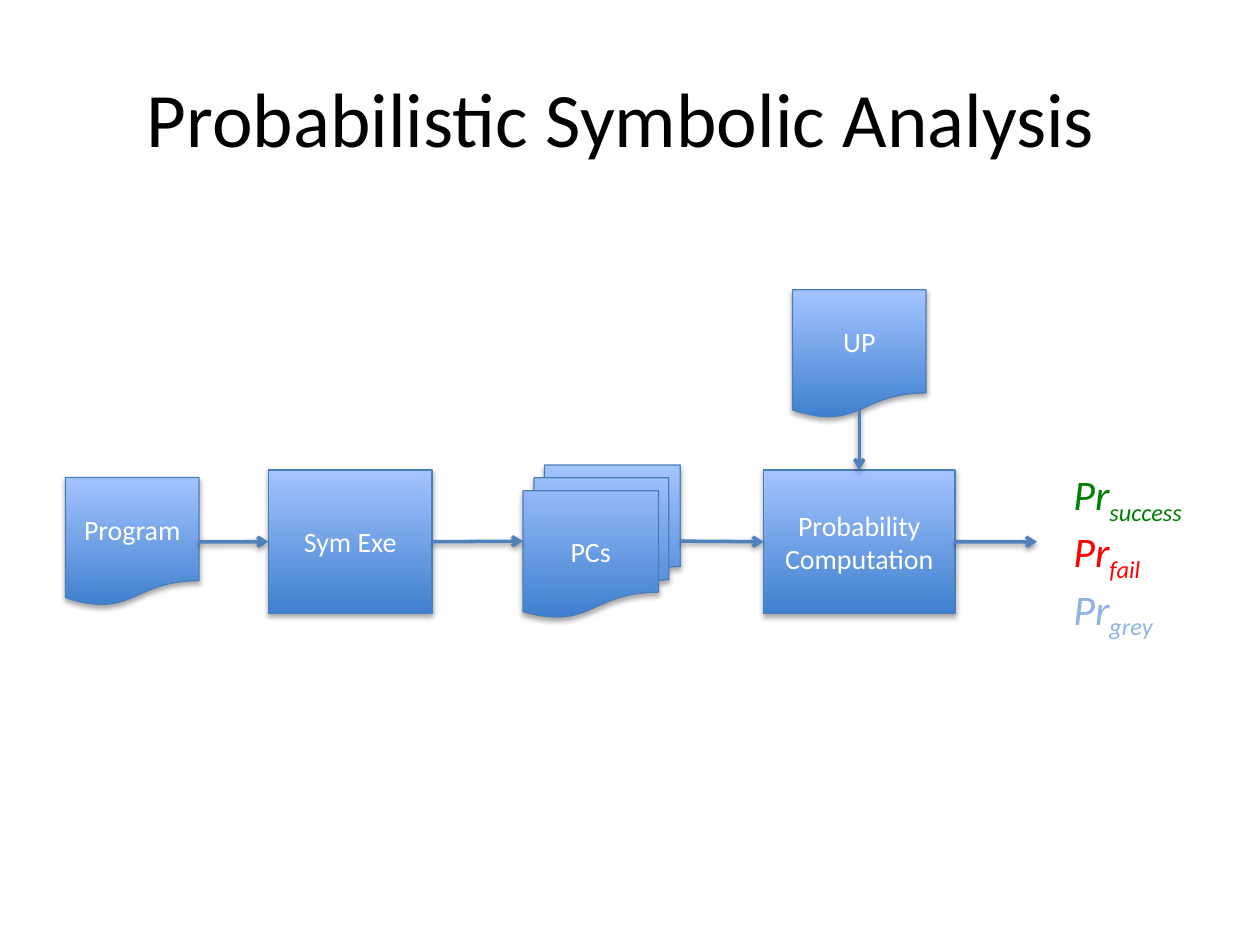
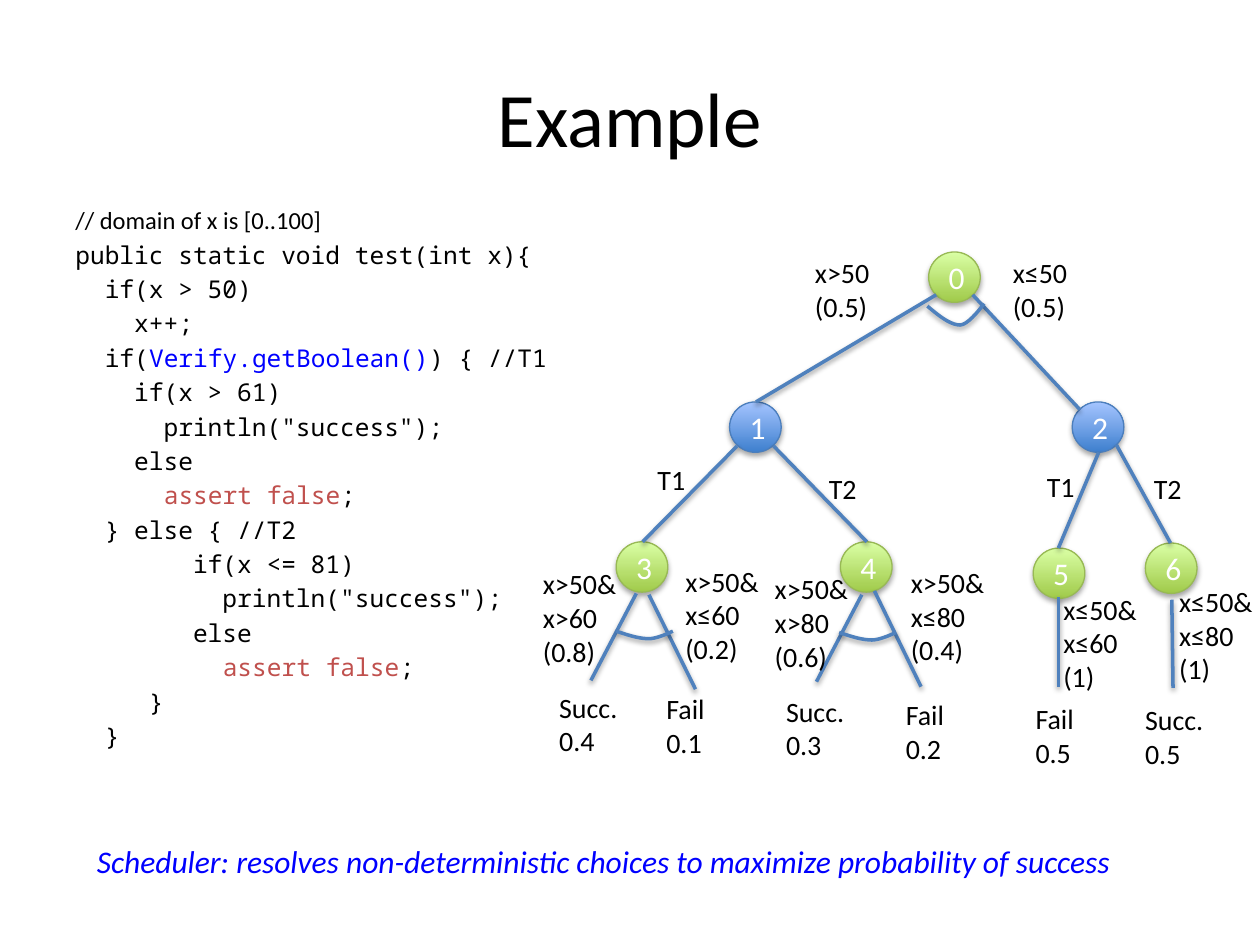
import pptx
import pptx.util
import pptx.dml.color
import pptx.enum.shapes
import pptx.enum.text
import pptx.oxml
import pptx.oxml.ns

Inches, Pt = pptx.util.Inches, pptx.util.Pt
RGB = pptx.dml.color.RGBColor.from_string
qn = pptx.oxml.ns.qn
Kind = pptx.enum.shapes.MSO_SHAPE
Type = pptx.enum.shapes.MSO_SHAPE_TYPE
STRAIGHT = pptx.enum.shapes.MSO_CONNECTOR.STRAIGHT
NS = 'xmlns:a="http://schemas.openxmlformats.org/drawingml/2006/main"'

HUES = {
    "black": "000000", "white": "FFFFFF", "line": "4F81BD",
    "blue": "0000FF", "brick": "C0504D",
    "green": "008000", "red": "FF0000", "grey": "8EB4E3",
}
# Dark end, light end and outline of each node colour
TONES = {
    "sky": ("3F80CE", "A4C4FF", "4B7EBC"),
    "lime": ("A0CA4A", "DAFFA5", "98B955"),
}


def add_node(slide, kind, box, lines, size, tone):
    """Add a shape with a vertical gradient and white text."""
    node = slide.shapes.add_shape(kind, *[Inches(v) for v in box])
    dark, light, edge = TONES[tone]
    node.fill.gradient()
    node.fill.gradient_angle = 90
    for stop, hue in zip(node.fill.gradient_stops, (dark, light)):
        stop.color.rgb = RGB(hue)
    node.line.color.rgb = RGB(edge)
    node.line.width = Pt(0.75)
    node.text_frame.text = "\n".join(lines)
    for para in node.text_frame.paragraphs:
        para.alignment = pptx.enum.text.PP_ALIGN.CENTER
        para.font.size = Pt(size)
        para.font.name = "Calibri"
        para.font.color.rgb = RGB(HUES["white"])
    return node


def add_text(slide, box, lines, size=16, hue="black", slant=False):
    """Add a text box that fits its lines and return its frame."""
    area = slide.shapes.add_textbox(*[Inches(v) for v in box])
    frame = area.text_frame
    frame.word_wrap = False
    frame.auto_size = pptx.enum.text.MSO_AUTO_SIZE.SHAPE_TO_FIT_TEXT
    frame.text = "\n".join(lines)
    for para in frame.paragraphs:
        para.font.size = Pt(size)
        para.font.name = "Calibri"
        para.font.italic = slant
        para.font.color.rgb = RGB(HUES[hue])
    return frame


deck = pptx.Presentation()
deck.slide_width, deck.slide_height = Inches(10), Inches(7.5)

# Slides with their titles
for name in ("Probabilistic Symbolic Analysis ", "Example"):
    slide = deck.slides.add_slide(deck.slide_layouts[5])
    title = slide.shapes.title
    title.left, title.top = Inches(0.5), Inches(0.3)
    title.width, title.height = Inches(9), Inches(1.25)
    title.text_frame.text = name
    para = title.text_frame.paragraphs[0]
    para.font.size = Pt(44)
    para.font.name = "Calibri"
    para.font.color.rgb = RGB(HUES["black"])
flow, tree = deck.slides

# Flow: steps of the analysis
steps = {}
for kind, box, lines in (
    (Kind.FLOWCHART_MULTIDOCUMENT, (4.15, 3.69, 1.25, 1.21), ["PCs"]),
    (Kind.FLOWCHART_DOCUMENT, (6.29, 2.3, 1.06, 1.02), ["UP"]),
    (Kind.FLOWCHART_PROCESS, (2.13, 3.73, 1.3, 1.14), ["Sym Exe"]),
    (Kind.FLOWCHART_PROCESS, (6.06, 3.73, 1.52, 1.14),
     ["Probability", "Computation"]),
    (Kind.FLOWCHART_DOCUMENT, (0.52, 3.79, 1.06, 1.02), ["Program"]),
):
    steps[lines[0]] = add_node(flow, kind, box, lines, 16, "sky")

# Flow: arrows, joined to the sides of the steps
for start, end, ends, side in (
    ("Program", "Sym Exe", (1.58, 4.3, 2.13, 4.3), 1),
    ("Sym Exe", "PCs", (3.43, 4.3, 4.15, 4.3), 1),
    ("PCs", "Probability", (5.4, 4.3, 6.06, 4.3), 1),
    (None, "Probability", (6.82, 3.25, 6.82, 3.73), 0),
    ("Probability", None, (7.58, 4.3, 8.23, 4.3), 1),
):
    arrow = flow.shapes.add_connector(STRAIGHT, *[Inches(v) for v in ends])
    if start:
        arrow.begin_connect(steps[start], 3)
    if end:
        arrow.end_connect(steps[end], side)
    arrow.line.color.rgb = RGB(HUES["line"])
    arrow.element.spPr.find(qn("a:ln")).append(
        pptx.oxml.parse_xml(f'<a:tailEnd {NS} type="arrow"/>'))

# Flow: resulting probabilities
results = (("success", "green"), ("fail", "red"), ("grey", "grey"))
frame = add_text(flow, (8.42, 3.67, 1.22, 1.31), ["Pr"] * 3, 24, slant=True)
for para, (word, hue) in zip(frame.paragraphs, results):
    para.font.color.rgb = RGB(HUES[hue])
    run = para.add_run()
    run.text = word
    run.font.subscript = True if hasattr(run.font, "subscript") else None
    run._r.get_or_add_rPr().set("baseline", "-25000")

# Tree: code, with coloured pieces as (text, hue)
code = (
    "// domain of x is [0..100]",
    "public static void test(int x){",
    "  if(x > 50)",
    "    x++;",
    ("  if(", ("Verify.getBoolean()", "blue"), ") { //T1"),
    "    if(x > 61)",
    '      println("success");',
    "    else",
    ("      ", ("assert false", "brick"), ";"),
    "  } else { //T2",
    "        if(x <= 81)",
    '          println("success");',
    "        else",
    ("          ", ("assert false", "brick"), ";"),
    "     }",
    "  }",
)
frame = add_text(tree, (0.5, 1.58, 4.56, 4.49), [""] * len(code), 14)
frame.auto_size = pptx.enum.text.MSO_AUTO_SIZE.NONE
frame.word_wrap = True
for row, (para, line) in enumerate(zip(frame.paragraphs, code)):
    para.line_spacing = Pt(16.85)
    if row:
        para.space_before = Pt(2.8)
        para.font.name = "Noto Sans Mono"
    for piece in [line] if isinstance(line, str) else line:
        run = para.add_run()
        if isinstance(piece, str):
            run.text = piece
        else:
            run.text = piece[0]
            run.font.color.rgb = RGB(HUES[piece[1]])

# Tree: numbered nodes
spots = ((7.37, 2), (5.79, 3.19), (8.51, 3.19), (4.89, 4.3),
         (6.67, 4.3), (8.2, 4.35), (9.09, 4.31))
for num, (x, y) in enumerate(spots):
    tone = "sky" if num in (1, 2) else "lime"
    add_node(tree, Kind.OVAL, (x, y, 0.41, 0.4), [str(num)], 18, tone)

# Tree: branches
for ends in (
    (7.43, 2.34, 6, 3.19), (7.72, 2.34, 8.57, 3.25),
    (5.85, 3.54, 5.1, 4.3), (6.14, 3.54, 6.88, 4.3),
    (8.72, 3.59, 8.4, 4.35), (8.86, 3.53, 9.29, 4.31),
    (5.05, 4.71, 4.69, 5.4), (5.15, 4.72, 5.52, 5.47),
    (6.84, 4.72, 6.48, 5.41), (6.94, 4.69, 7.31, 5.45),
    (8.4, 4.74, 8.4, 5.45), (9.3, 4.76, 9.31, 5.46),
):
    branch = tree.shapes.add_connector(STRAIGHT, *[Inches(v) for v in ends])
    branch.line.color.rgb = RGB(HUES["line"])

# Tree: arcs, each two Bezier curves (left, top, depth, end height)
for x, y, deep, end in (
    (4.89, 5.01, 0.06, 0), (7.36, 2.43, 0.15, -0.02), (6.66, 5.02, 0.06, 0),
):
    curves = (
        ((0, 0), (0.09, deep / 2), (0.18, deep), (0.26, deep)),
        ((0.26, deep), (0.33, deep), (0.45, end), (0.45, end)),
    )
    points = []
    for curve in curves:
        for step in range(1, 11):
            t = step / 10
            parts = ((1 - t) ** 3, 3 * t * (1 - t) ** 2,
                     3 * t * t * (1 - t), t ** 3)
            across = sum(k * p[0] for k, p in zip(parts, curve))
            down = sum(k * p[1] for k, p in zip(parts, curve))
            points.append((Inches(x + across), Inches(y + down)))
    path = tree.shapes.build_freeform(Inches(x), Inches(y))
    path.add_line_segments(points, close=False)
    arc = path.convert_to_shape()
    arc.fill.background()
    arc.line.color.rgb = RGB(HUES["line"])

# Tree: labels, as wide as their first line needs
widths = {"Succ.": 0.67, "Fail": 0.52, "x>50": 0.64, "x≤50": 0.64,
          "x>50&": 0.79, "x≤50&": 0.79, "T1": 0.43, "T2": 0.43}
for x, y, *lines in (
    (6.37, 1.98, "x>50", "(0.5)"), (7.94, 1.98, "x≤50", "(0.5)"),
    (5.12, 3.62, "T1"), (6.48, 3.69, "T2"),
    (8.21, 3.68, "T1"), (9.06, 3.69, "T2"),
    (4.21, 4.45, "x>50&", "x>60", "(0.8)"),
    (5.34, 4.43, "x>50&", "x≤60", "(0.2)"),
    (6.05, 4.49, "x>50&", "x>80", "(0.6)"),
    (7.13, 4.44, "x>50&", "x≤80", "(0.4)"),
    (8.34, 4.65, "x≤50&", "x≤60", "(1)"),
    (9.26, 4.59, "x≤50&", "x≤80", "(1)"),
    (4.34, 5.43, "Succ.", "0.4"), (5.19, 5.44, "Fail", "0.1"),
    (6.14, 5.46, "Succ.", "0.3"), (7.09, 5.49, "Fail", "0.2"),
    (8.12, 5.52, "Fail", "0.5"), (8.99, 5.53, "Succ.", "0.5"),
):
    add_text(tree, (x, y, widths[lines[0]], 0.1 + 0.27 * len(lines)), lines)

add_text(tree, (0.67, 6.63, 8.41, 0.4),
         ["Scheduler: resolves non-deterministic choices "
          "to maximize probability of success"], 18, "blue", True)

# Soft shadow under every node and line, and one width for lines
for slide in deck.slides:
    for shape in slide.shapes:
        if shape.element.find(qn("p:style")) is None:
            continue
        alpha, drop = 35, 1.8
        if shape.shape_type != Type.AUTO_SHAPE:
            shape.line.width = Pt(2)
            alpha, drop = 38, 1.6
        shape.element.spPr.append(pptx.oxml.parse_xml(
            f'<a:effectLst {NS}><a:outerShdw blurRad="{Pt(3.1)}" '
            f'dist="{Pt(drop)}" dir="5400000" rotWithShape="0">'
            f'<a:srgbClr val="{HUES["black"]}"><a:alpha val="{alpha}000"/>'
            f'</a:srgbClr></a:outerShdw></a:effectLst>'))

deck.save("out.pptx")
